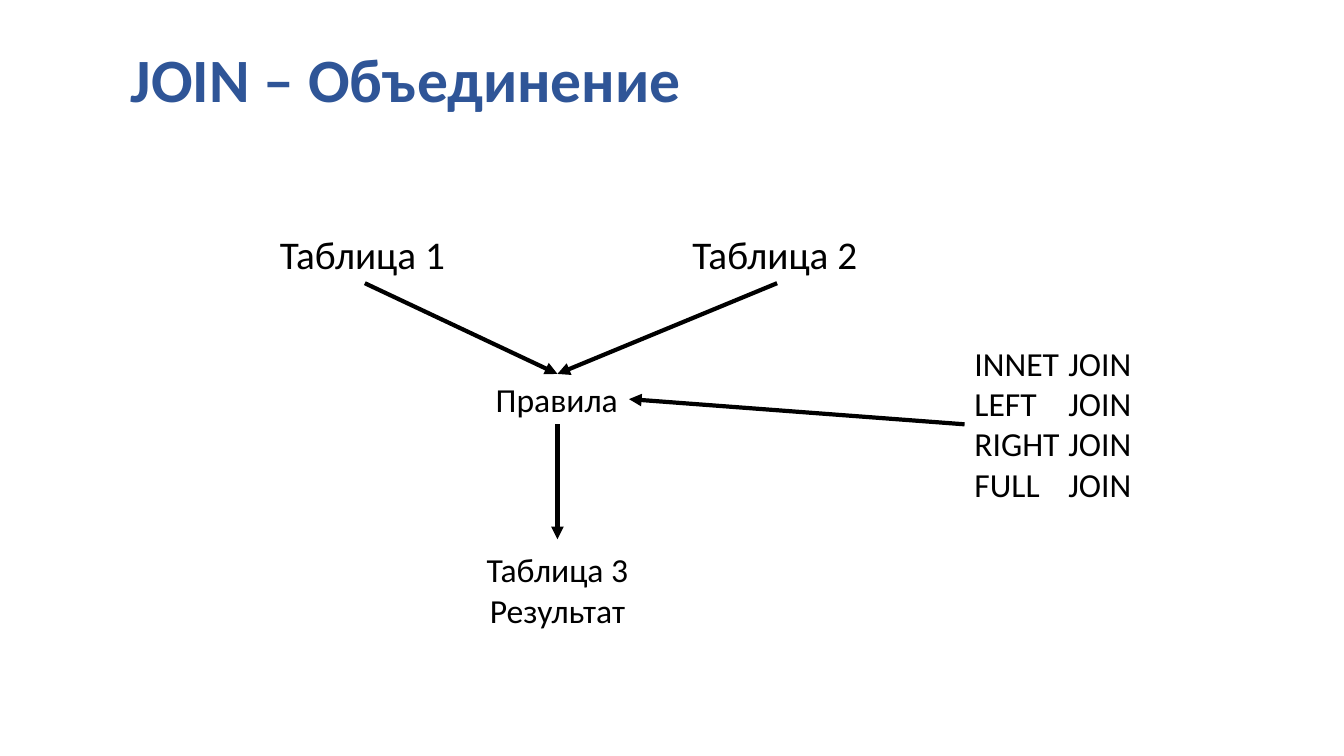
from lxml import etree
from pptx import Presentation
from pptx.dml.color import RGBColor
from pptx.enum.shapes import MSO_CONNECTOR
from pptx.enum.text import MSO_ANCHOR, PP_ALIGN
from pptx.oxml.ns import qn
from pptx.util import Pt

STRAIGHT = MSO_CONNECTOR.STRAIGHT
LEFT, CENTER = PP_ALIGN.LEFT, PP_ALIGN.CENTER
TOP, BOTTOM = MSO_ANCHOR.TOP, MSO_ANCHOR.BOTTOM

FONT = "Calibri"
BLACK, BLUE = "000000", "2F5597"
JOIN_TAB = 67

TABLE_1_X, TABLE_2_X, RULES_X = 260.6, 555.1, 398.2
TABLES_BOTTOM, RULES_TOP, RULES_BOTTOM = 202.3, 267.1, 303.1
JOIN_KINDS = ["INNET", "LEFT", "RIGHT", "FULL"]


def color(hex_code):
    return RGBColor.from_string(hex_code)


def add_tab_stop(p, pos):
    tabs = etree.SubElement(p._p.get_or_add_pPr(), qn("a:tabLst"))
    etree.SubElement(tabs, qn("a:tab"), pos=str(Pt(pos)), algn="l")


def add_text(s, text, left, top, width, height, size=24, fill=BLACK, bold=False,
             align=LEFT, anchor=TOP, spacing=None, tab=None):
    """Add a text box; each line of text becomes a paragraph."""
    tf = s.shapes.add_textbox(Pt(left), Pt(top), Pt(width), Pt(height)).text_frame
    tf.word_wrap = True
    tf.vertical_anchor = anchor
    for i, line in enumerate(text.split("\n")):
        p = tf.add_paragraph() if i else tf.paragraphs[0]
        p.alignment = align
        if spacing:
            p.line_spacing = spacing
        if tab:
            add_tab_stop(p, tab)
        r = p.add_run()
        r.text = line
        r.font.name, r.font.size, r.font.bold = FONT, Pt(size), bold
        r.font.color.rgb = color(fill)


def add_arrow(s, start, end):
    arrow = s.shapes.add_connector(STRAIGHT, *map(Pt, start + end))
    arrow.line.width = Pt(3)
    arrow.line.color.rgb = color(BLACK)
    etree.SubElement(arrow.line._get_or_add_ln(), qn("a:tailEnd"), type="triangle")
    etree.SubElement(arrow._element.spPr, qn("a:effectLst"))


def main():
    prs = Presentation()
    prs.slide_width, prs.slide_height = Pt(960), Pt(540)
    s = prs.slides.add_slide(prs.slide_layouts[6])

    add_text(s, "JOIN – Объединение", 86.4, 22.3, 792, 63.4, size=44, fill=BLUE,
             bold=True, anchor=BOTTOM, spacing=0.85)

    for name, x in [("Таблица 1", TABLE_1_X), ("Таблица 2", TABLE_2_X)]:
        add_text(s, name, x - 67.7, 161.3, 135.4, 41, size=28)
        add_arrow(s, (x, TABLES_BOTTOM), (RULES_X, RULES_TOP))

    add_text(s, "Правила", 347, RULES_TOP, 104, 36)
    add_arrow(s, (RULES_X, RULES_BOTTOM), (RULES_X, 385.2))
    add_text(s, "Таблица 3\nРезультат", 330.5, 388.8, 135.4, 65.5, align=CENTER)

    joins = "\n".join(f"{kind}\tJOIN" for kind in JOIN_KINDS)
    add_text(s, joins, 689, 241.2, 151.2, 123.8, tab=JOIN_TAB)
    add_arrow(s, (689, RULES_BOTTOM), (449.3, 285.1))

    prs.save("out.pptx")


if __name__ == "__main__":
    main()
